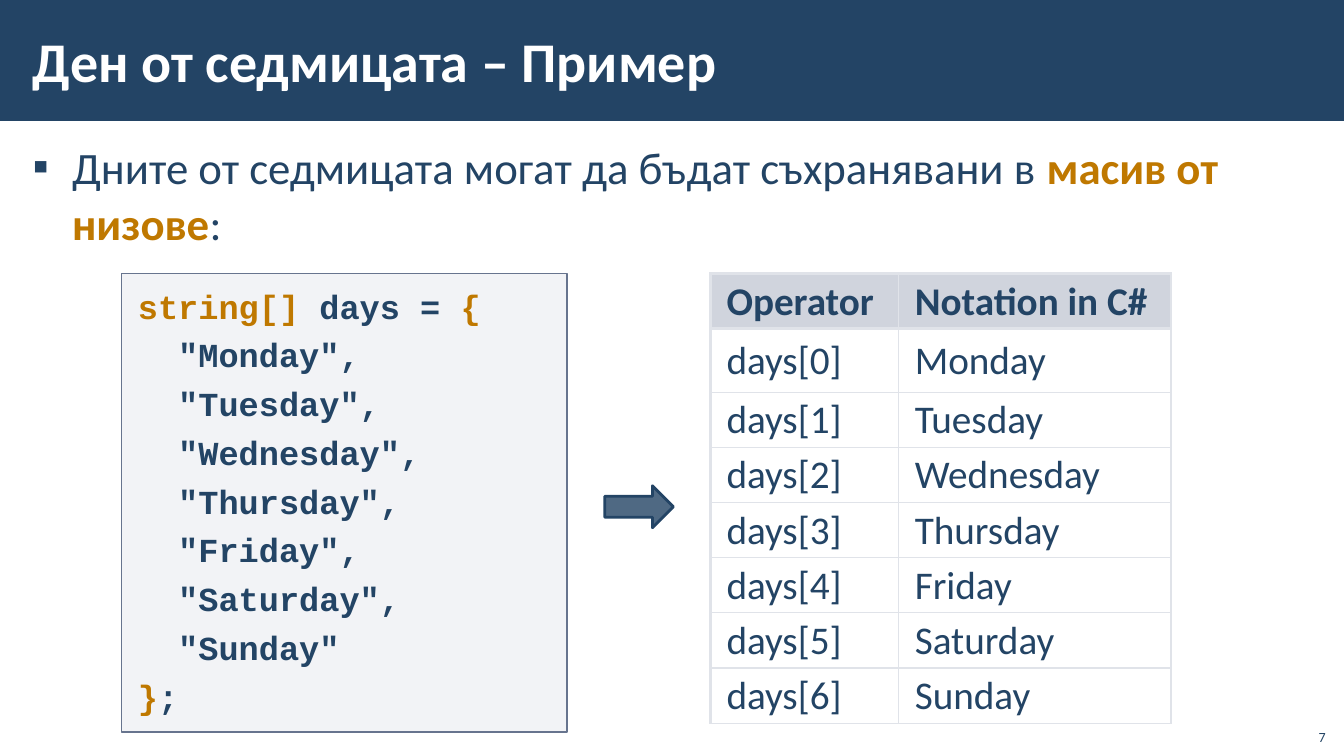
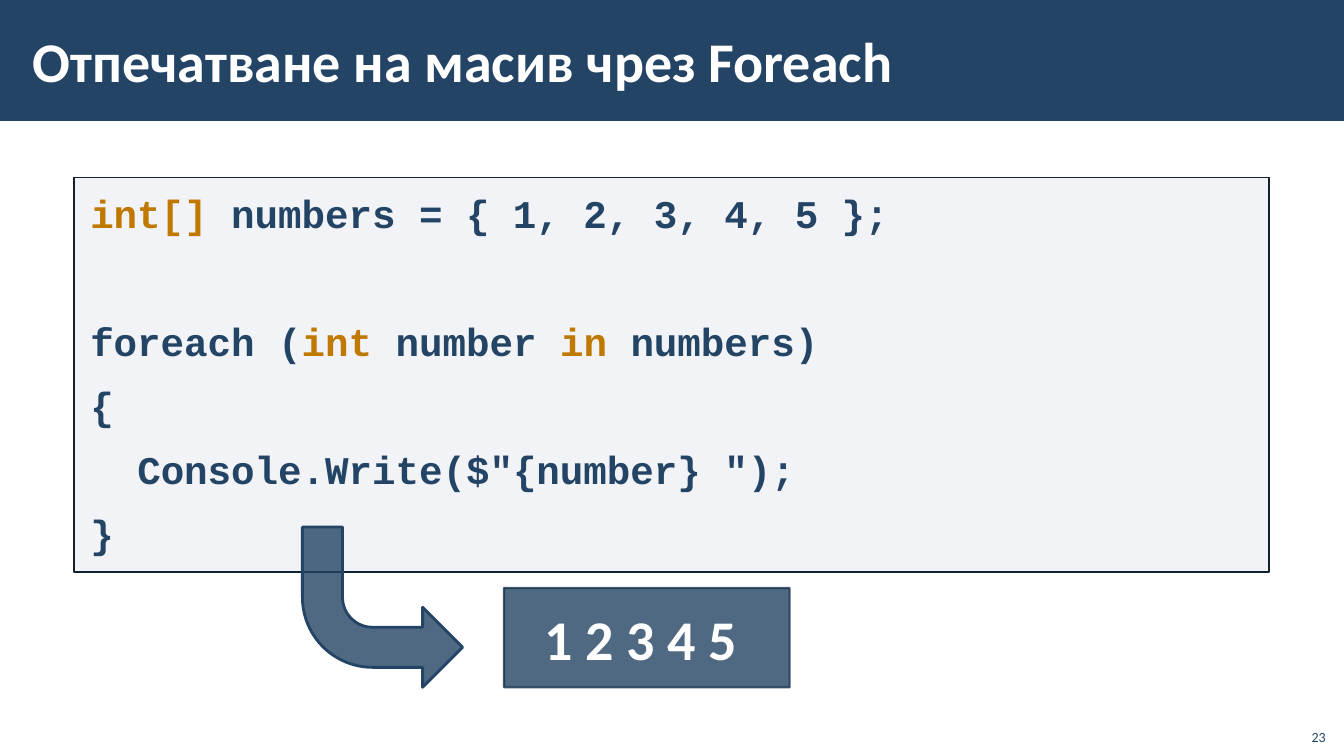
from dataclasses import dataclass

from lxml import etree
from pptx import Presentation
from pptx.dml.color import RGBColor
from pptx.enum.shapes import MSO_SHAPE
from pptx.enum.text import MSO_ANCHOR, PP_ALIGN
from pptx.oxml.ns import qn
from pptx.util import Pt

RECT = MSO_SHAPE.RECTANGLE
RIGHT_ARROW = MSO_SHAPE.RIGHT_ARROW
BENT_ARROW = MSO_SHAPE.BENT_ARROW
TOP, MIDDLE, BOTTOM = MSO_ANCHOR.TOP, MSO_ANCHOR.MIDDLE, MSO_ANCHOR.BOTTOM
LEFT, CENTER, RIGHT = PP_ALIGN.LEFT, PP_ALIGN.CENTER, PP_ALIGN.RIGHT

NAVY, ACCENT, WHITE = "234465", "BF7800", "FFFFFF"
CODE_FILL, HEADER_FILL, GRID = "ADB4C3", "A3ABBC", "E0E3E9"
BODY_FONT, CODE_FONT = "Calibri", "Courier New"
# Height of a code line and width of its characters, relative to the size
CODE_LINE, CODE_CHAR = 1.2, 0.6


@dataclass
class Box:
    left: float
    top: float
    width: float
    height: float

    def pts(self) -> list:
        return [Pt(v) for v in (self.left, self.top, self.width, self.height)]


@dataclass
class Style:
    size: float
    font: str = BODY_FONT
    color: str = NAVY
    bold: bool = False
    align: PP_ALIGN = LEFT
    line_spacing: float = 1.0
    gap: float = 0


@dataclass
class Line:
    """Text whose parts between bars are accented."""
    text: str
    indent: int = 0
    blank_before: bool = False


def rgb(color: str) -> RGBColor:
    return RGBColor.from_string(color)


def set_attrs(obj, values: dict) -> None:
    for name, value in values.items():
        setattr(obj, name, value)


def paint(fill, color: str, opacity: int = 100) -> None:
    fill.solid()
    fill.fore_color.rgb = rgb(color)
    if opacity < 100:
        clr = fill._xPr.find(qn("a:solidFill"))[0]
        etree.SubElement(clr, qn("a:alpha"), val=str(opacity * 1000))


def add_box(slide, kind, box: Box, fill: str, opacity: int = 100,
            line: str = "", weight: float = 1, line_opacity: int = 100):
    sp = slide.shapes.add_shape(kind, *box.pts())
    sp.shadow.inherit = False
    paint(sp.fill, fill, opacity)
    if line:
        sp.line.width = Pt(weight)
        paint(sp.line.fill, line, line_opacity)
    else:
        sp.line.fill.background()
    return sp


def frame(sp, anchor, inset_x: float = 7.2, inset_y: float = 3.6):
    tf = sp.text_frame
    set_attrs(tf, {
        "word_wrap": True, "vertical_anchor": anchor,
        "margin_left": Pt(inset_x), "margin_right": Pt(inset_x),
        "margin_top": Pt(inset_y), "margin_bottom": Pt(inset_y),
    })
    return tf


def write(p, text: str, style: Style) -> None:
    set_attrs(p, {
        "alignment": style.align, "line_spacing": style.line_spacing,
        "space_before": Pt(style.gap), "space_after": Pt(style.gap),
    })
    for i, part in enumerate(text.split("|")):
        if part:
            accented = i % 2 == 1
            r = p.add_run()
            r.text = part
            set_attrs(r.font, {"name": style.font, "size": Pt(style.size),
                               "bold": style.bold or accented})
            r.font.color.rgb = rgb(ACCENT if accented else style.color)


def add_text(slide, box: Box, text: str, style: Style, anchor=TOP,
             inset_x: float = 7.2, inset_y: float = 3.6):
    sp = slide.shapes.add_textbox(*box.pts())
    p = frame(sp, anchor, inset_x, inset_y).paragraphs[0]
    write(p, text, style)
    return p


def add_bullet(p, indent: float) -> None:
    pPr = p._p.get_or_add_pPr()
    pPr.set("marL", str(Pt(indent)))
    pPr.set("indent", str(-Pt(indent)))
    etree.SubElement(pPr, qn("a:buFont"), typeface=BODY_FONT)
    etree.SubElement(pPr, qn("a:buChar"), char="▪")


def add_code(slide, box: Box, line_color: str, lines: list[Line],
             size: float, gap: float) -> None:
    sp = add_box(slide, RECT, box, CODE_FILL, 15, line_color)
    tf = frame(sp, TOP, 11.5, 8.5)
    style = Style(size, CODE_FONT, bold=True, gap=gap)
    blank_line = size * CODE_LINE + 2 * gap
    for i, line in enumerate(lines):
        p = tf.add_paragraph() if i else tf.paragraphs[0]
        write(p, line.text, style)
        if line.indent:
            margin = Pt(line.indent * size * CODE_CHAR)
            p._p.get_or_add_pPr().set("marL", str(margin))
        if line.blank_before:
            p.space_before = Pt(gap + blank_line)


def set_borders(cell, weights: dict[str, float]) -> None:
    tcPr = cell._tc.get_or_add_tcPr()
    for i, (side, weight) in enumerate(weights.items()):
        ln = etree.Element(qn(f"a:ln{side}"), w=str(Pt(weight)))
        fill = etree.SubElement(ln, qn("a:solidFill"))
        etree.SubElement(fill, qn("a:srgbClr"), val=GRID)
        tcPr.insert(i, ln)


def add_days_table(slide, box: Box, rows: list[tuple[str, str]],
                   widths: list[float], heights: list[float]) -> None:
    shape = slide.shapes.add_table(len(rows), len(widths), *box.pts())
    table = shape.table
    set_attrs(table, {"first_row": False, "horz_banding": False})
    for column, width in zip(table.columns, widths):
        column.width = Pt(width)
    for r, (row, height) in enumerate(zip(rows, heights)):
        table.rows[r].height = Pt(height)
        for c, text in enumerate(row):
            cell = table.cell(r, c)
            set_attrs(cell, {
                "vertical_anchor": MIDDLE,
                "margin_left": Pt(11.5), "margin_right": Pt(11.5),
                "margin_top": Pt(3.6), "margin_bottom": Pt(3.6),
            })
            write(cell.text_frame.paragraphs[0], text,
                  Style(28, bold=r == 0, line_spacing=0.95))
            if r == 0:
                paint(cell.fill, HEADER_FILL, 50)
            else:
                cell.fill.background()
            set_borders(cell, {
                "L": 2.25 if c == 0 else 1,
                "R": 2.25 if c == len(row) - 1 else 1,
                "T": 2.25 if r <= 1 else 1,
                "B": 2.25 if r == 0 else 1,
            })


def add_slide(prs, title: str, number: int):
    """Add a slide with the title band and the slide number."""
    slide = prs.slides.add_slide(prs.slide_layouts[6])
    add_box(slide, RECT, Box(0, 0, 960, 86.4), NAVY)
    add_text(slide, Box(15, 8, 806, 70), title,
             Style(40, color=WHITE, bold=True), MIDDLE, 8.5, 2.8)
    add_text(slide, Box(925, 512.6, 29, 23), str(number),
             Style(10, align=RIGHT), BOTTOM)
    return slide


def days_slide(prs) -> None:
    slide = add_slide(prs, "Ден от седмицата – Пример", 7)
    p = add_text(slide, Box(15, 95, 930, 437),
                 "Дните от седмицата могат да бъдат съхранявани в "
                 "|масив от низове|:",
                 Style(32, line_spacing=1.05, gap=6), TOP, 8.5, 2.8)
    add_bullet(p, 28)

    days = ["Monday", "Tuesday", "Wednesday", "Thursday",
            "Friday", "Saturday", "Sunday"]
    items = [Line(f'"{day}"' + ("," if day != days[-1] else ""), 2)
             for day in days]
    code = [Line("|string[]| days = |{|"), *items, Line("|}|;")]
    add_code(slide, Box(87, 195.5, 318, 327.5), "67748E", code, 24, 3)

    add_box(slide, RIGHT_ARROW, Box(432, 347, 49, 30), NAVY, 80, NAVY, 2)

    rows = [("Operator", "Notation in C#")]
    rows += [(f"days[{i}]", day) for i, day in enumerate(days)]
    heights = [39.4, 45.4] + [39.4] * (len(days) - 1)
    add_days_table(slide, Box(507.5, 195.5, 329, sum(heights)), rows,
                   [134.5, 194.5], heights)


def foreach_slide(prs) -> None:
    slide = add_slide(prs, "Отпечатване на масив чрез Foreach", 23)
    code = [
        Line("|int[]| numbers = { 1, 2, 3, 4, 5 };"),
        Line("foreach (|int| number |in| numbers)", blank_before=True),
        Line("{"),
        Line('Console.Write($"{number} ");', 2),
        Line("}"),
    ]
    add_code(slide, Box(53, 127, 853.5, 281.5), "112233", code, 28, 6)

    arrow = add_box(slide, BENT_ARROW, Box(216, 376.5, 114.5, 114.5),
                    NAVY, 80, NAVY, 2)
    arrow._element.spPr.find(qn("a:xfrm")).set("flipV", "1")

    output = add_box(slide, RECT, Box(360, 420, 204, 71), NAVY, 80,
                     "1A334C", 1.5, 80)
    write(frame(output, MIDDLE).paragraphs[0], "1 2 3 4 5 ",
          Style(40, color=WHITE, bold=True, align=CENTER))


def main() -> None:
    prs = Presentation()
    set_attrs(prs, {"slide_width": Pt(960), "slide_height": Pt(540)})
    days_slide(prs)
    foreach_slide(prs)
    prs.save("out.pptx")


if __name__ == "__main__":
    main()
